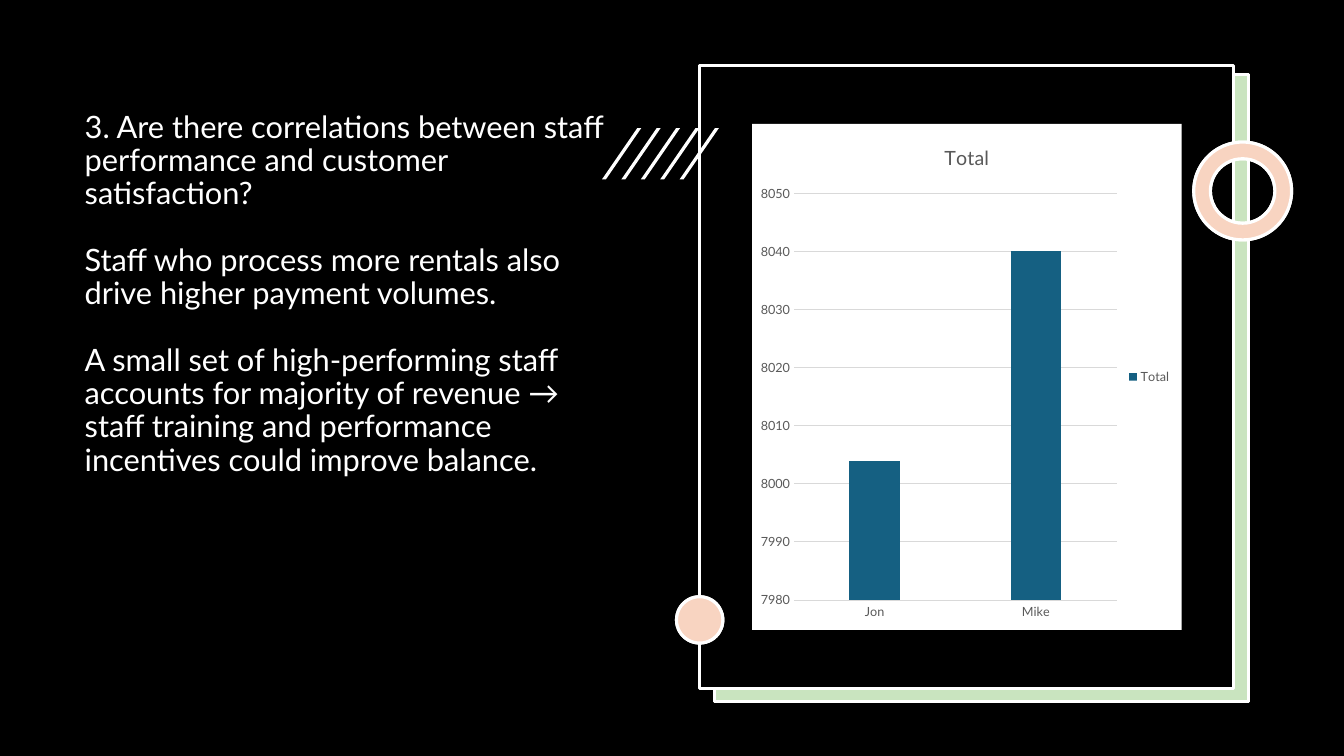
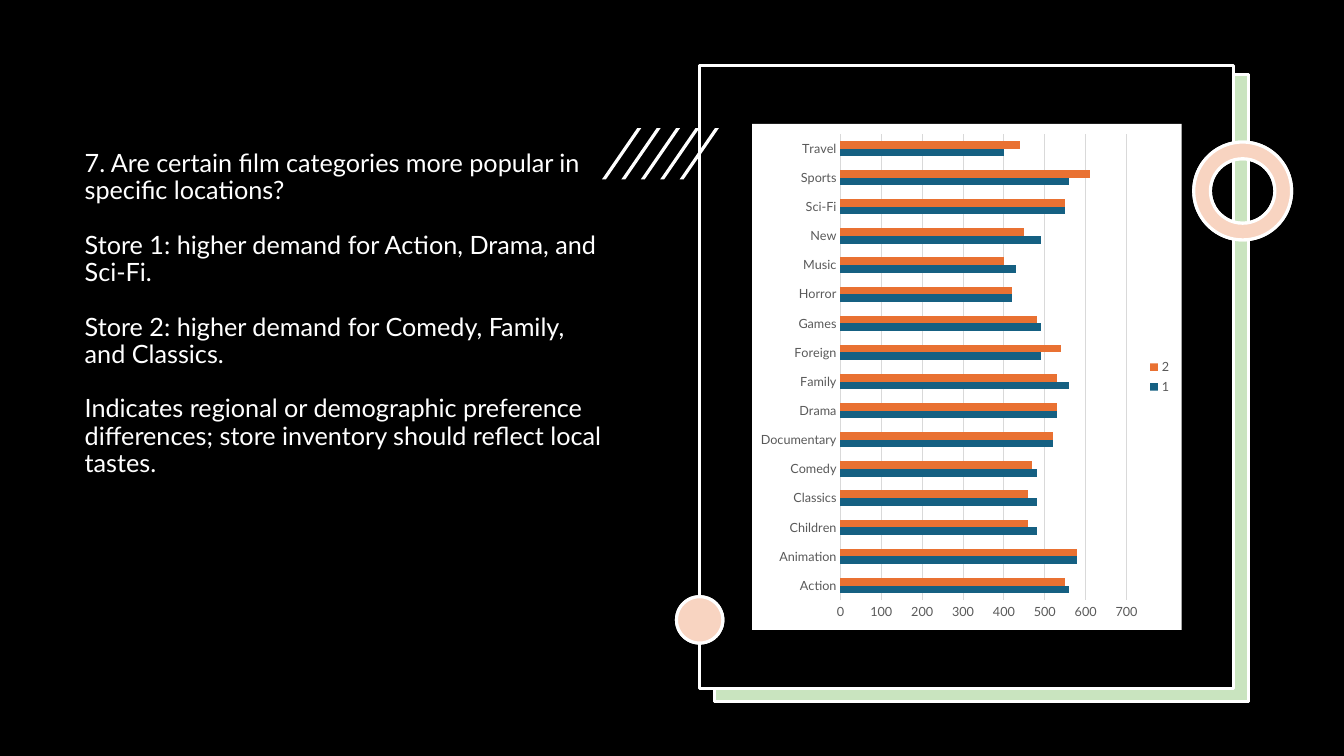
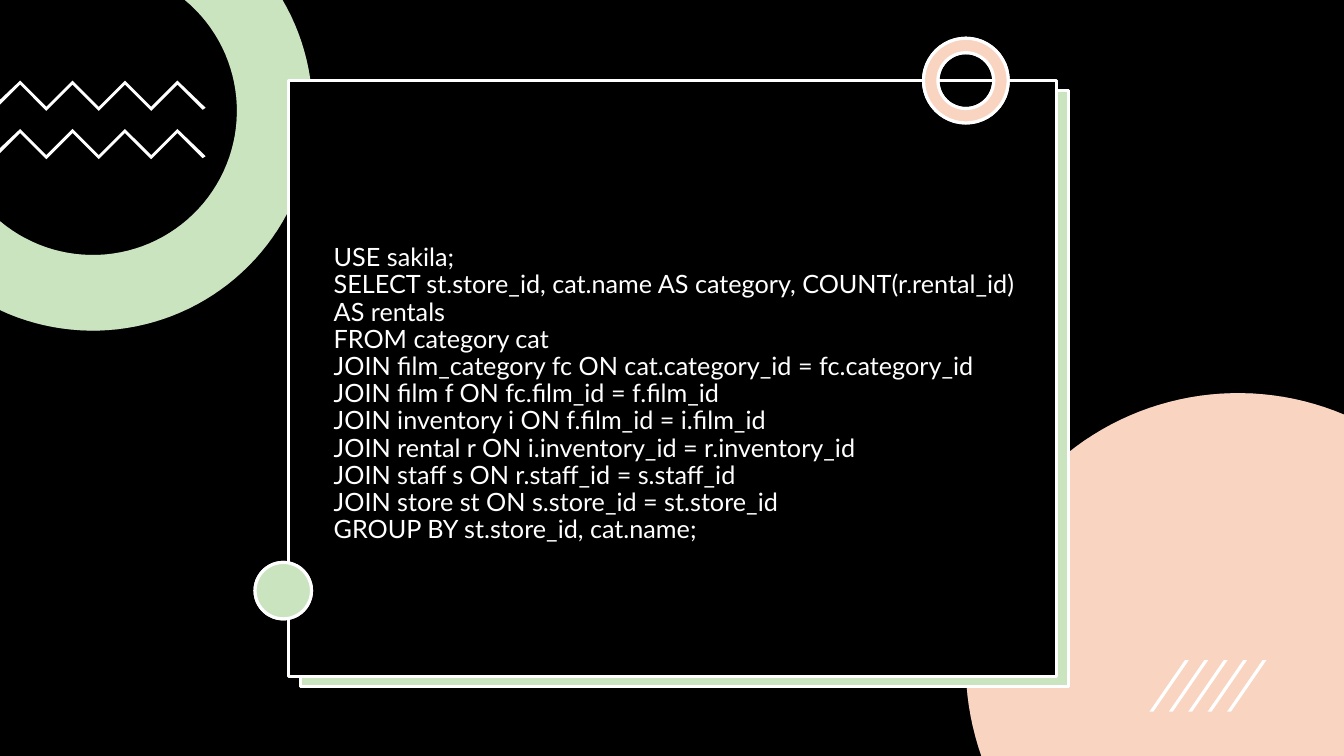
"""Build three film rental findings slides: two chart answers and one SQL query."""
import math

import lxml.etree
import pptx
import pptx.chart.data
import pptx.dml.color
import pptx.enum.chart
import pptx.enum.shapes
import pptx.enum.text
import pptx.oxml
import pptx.oxml.ns
import pptx.util

Inches, Pt = pptx.util.Inches, pptx.util.Pt
RGBColor = pptx.dml.color.RGBColor
SHAPE = pptx.enum.shapes.MSO_SHAPE
CHART = pptx.enum.chart.XL_CHART_TYPE

BLACK = RGBColor(0x00, 0x00, 0x00)
WHITE = RGBColor(0xFF, 0xFF, 0xFF)
GREEN = RGBColor(0x4E, 0xA7, 0x2E)
ORANGE = RGBColor(0xE9, 0x71, 0x32)
BLUE = RGBColor(0x15, 0x60, 0x82)
GREY = RGBColor(0x59, 0x59, 0x59)
GRID = RGBColor(0xD9, 0xD9, 0xD9)
FONT = "Lato"
TINT = 30
WIDTH, HEIGHT = 13.33, 7.5


def write_text(frame, lines, size, color, gap=0, line_spacing=None, align=None):
    """Write one paragraph per line, all in the same format."""
    for number, line in enumerate(lines):
        paragraph = frame.paragraphs[0] if number == 0 else frame.add_paragraph()
        paragraph.alignment = align
        paragraph.line_spacing = line_spacing
        paragraph.space_before = Pt(gap if number else 0)
        run = paragraph.add_run()
        run.text = line
        run.font.name = FONT
        run.font.size = Pt(size)
        run.font.bold = False
        run.font.color.rgb = color


def paint(shape, color, opacity=100, outlined=False):
    """Fill a shape, with an optional white outline."""
    shape.shadow.inherit = False
    shape.fill.solid()
    shape.fill.fore_color.rgb = color
    if opacity < 100:
        tone = shape.fill._xPr.find(".//" + pptx.oxml.ns.qn("a:srgbClr"))
        alpha = lxml.etree.SubElement(tone, pptx.oxml.ns.qn("a:alpha"))
        alpha.set("val", str(opacity * 1000))
    if outlined:
        shape.line.color.rgb = WHITE
        shape.line.width = Pt(2.25)
    else:
        shape.line.fill.background()


arcs = {}
for arc, (x, y, radius, first, last) in {
    "ring outside": (0.92, 1.1, 2.18, -30.3, 115),
    "ring inside": (0.92, 1.1, 1.43, 130, -50.3),
    "disc": (12.28, 6.6, 2.7, 160.5, 292.9),
}.items():
    angles = [math.radians(first + (last - first) * step / 60) for step in range(61)]
    arcs[arc] = [(max(0, x + radius * math.cos(angle)), max(0, y + radius * math.sin(angle)))
                 for angle in angles]

zigzag_top = [(0.2 + 0.26 * turn, 0.26 * (turn % 2)) for turn in range(7)]
zigzag_bottom = [(x, y + 0.04) for x, y in reversed(zigzag_top)]
zigzag = zigzag_top + [(2.04, 0.27), (2.01, 0.29)] + zigzag_bottom + [(0, 0.24), (0, 0.19)]

big_ring = arcs["ring outside"] + arcs["ring inside"]
big_disc = arcs["disc"] + [(WIDTH, HEIGHT)]

chart_look = {
    "title_box": (0.74, 0.89, 5.35, 3.9),
    "shadow": (7.09, 0.74, 5.29, 6.22),
    "panel": (6.94, 0.65, 5.29, 6.18),
    "ring": (11.84, 1.41, 0.97, 0.97),
    "dot": (6.71, 5.92, 0.46, 0.46),
    "dot_tint": ORANGE,
    "slashes": (5.97, 1.27),
    "outlines": [],
}
query_look = {
    "title_box": (3.21, 1.36, 7.02, 4.09),
    "shadow": (2.98, 0.9, 7.62, 5.91),
    "panel": (2.86, 0.8, 7.62, 5.91),
    "ring": (9.16, 0.38, 0.84, 0.84),
    "dot": (2.53, 5.58, 0.56, 0.56),
    "dot_tint": GREEN,
    "slashes": (11.4, 6.55),
    "outlines": [(big_ring, WHITE, 100), (big_ring, GREEN, TINT),
                 (big_disc, WHITE, 100), (big_disc, ORANGE, TINT)]
    + [([(x, y + top) for x, y in zigzag], WHITE, 100) for top in (0.8, 1.28)],
}

staff_chart = {
    "type": CHART.COLUMN_CLUSTERED,
    "title": "Total",
    "categories": ["Jon", "Mike"],
    "series": [("Total", (8004, 8040), BLUE)],
    "scale": (7980, 8050, 10),
    "gap": 219,
    "overlap": -27,
}
category_chart = {
    "type": CHART.BAR_CLUSTERED,
    "title": None,
    "categories": ["Action", "Animation", "Children", "Classics", "Comedy", "Documentary",
                   "Drama", "Family", "Foreign", "Games", "Horror", "Music", "New",
                   "Sci-Fi", "Sports", "Travel"],
    "series": [
        ("1", (560, 580, 480, 480, 480, 520, 530, 560,
               490, 490, 420, 430, 490, 550, 560, 400), BLUE),
        ("2", (550, 580, 460, 460, 470, 520, 530, 530,
               540, 480, 420, 400, 450, 550, 610, 440), ORANGE),
    ],
    "scale": (0, 700, 100),
    "gap": 182,
    "overlap": 0,
}

pages = [
    (chart_look, staff_chart, 22, 23.8, [
        "3. Are there correlations between staff performance and customer satisfaction?",
        "Staff who process more rentals also drive higher payment volumes.",
        "A small set of high-performing staff accounts for majority of revenue → "
        "staff training and performance incentives could improve balance.",
    ]),
    (chart_look, category_chart, 18, 19.5, [
        "7. Are certain film categories more popular in specific locations?",
        "Store 1: higher demand for Action, Drama, and Sci-Fi.",
        "Store 2: higher demand for Comedy, Family, and Classics.",
        "Indicates regional or demographic preference differences; "
        "store inventory should reflect local tastes.",
    ]),
    (query_look, None, 18, 0, [
        "USE sakila;",
        "SELECT st.store_id, cat.name AS category, COUNT(r.rental_id) AS rentals",
        "FROM category cat",
        "JOIN film_category fc ON cat.category_id = fc.category_id",
        "JOIN film f ON fc.film_id = f.film_id",
        "JOIN inventory i ON f.film_id = i.film_id",
        "JOIN rental r ON i.inventory_id = r.inventory_id",
        "JOIN staff s ON r.staff_id = s.staff_id",
        "JOIN store st ON s.store_id = st.store_id",
        "GROUP BY st.store_id, cat.name;",
    ]),
]

deck = pptx.Presentation()
deck.slide_width, deck.slide_height = Inches(WIDTH), Inches(HEIGHT)
deck.slide_master.background.fill.solid()
deck.slide_master.background.fill.fore_color.rgb = BLACK

for look, figures, size, gap, lines in pages:
    slide = deck.slides.add_slide(deck.slide_layouts[5])

    for points, color, opacity in look["outlines"]:
        corners = [(Inches(x), Inches(y)) for x, y in points]
        builder = slide.shapes.build_freeform(*corners[0])
        builder.add_line_segments(corners[1:], close=True)
        paint(builder.convert_to_shape(), color, opacity)

    for part, preset, tint in (
        ("shadow", SHAPE.RECTANGLE, GREEN),
        ("panel", SHAPE.RECTANGLE, None),
        ("ring", SHAPE.DONUT, ORANGE),
        ("dot", SHAPE.OVAL, look["dot_tint"]),
    ):
        layers = [(WHITE, 100), (tint, TINT)] if tint else [(BLACK, 100)]
        for color, opacity in layers:
            ornament = slide.shapes.add_shape(preset, *map(Inches, look[part]))
            if preset == SHAPE.DONUT:
                ornament.adjustments[0] = 0.17
            paint(ornament, color, opacity, outlined=True)
        if part == "panel":
            ornament.element.addnext(slide.shapes.title.element)

    left, top = look["slashes"]
    slashes = slide.shapes.add_group_shape()
    for number in range(5):
        slash = slashes.shapes.add_shape(
            SHAPE.PARALLELOGRAM, Inches(left + 0.1925 * number), Inches(top),
            Inches(0.39), Inches(0.51))
        slash.adjustments[0] = 0.9
        paint(slash, WHITE)

    title = slide.shapes.title
    title.left, title.top, title.width, title.height = map(Inches, look["title_box"])
    title.text_frame.word_wrap = True
    title.text_frame.auto_size = pptx.enum.text.MSO_AUTO_SIZE.NONE
    title.text_frame.vertical_anchor = pptx.enum.text.MSO_ANCHOR.BOTTOM
    write_text(title.text_frame, lines, size, WHITE, gap=gap, line_spacing=0.9,
               align=pptx.enum.text.PP_ALIGN.LEFT)

    if figures is None:
        continue
    data = pptx.chart.data.CategoryChartData()
    data.categories = figures["categories"]
    for name, values, color in figures["series"]:
        data.add_series(name, values)
    chart = slide.shapes.add_chart(
        figures["type"], Inches(7.46), Inches(1.23), Inches(4.26), Inches(5.02), data).chart
    chart.font.name = FONT
    chart.font.size = Pt(10)
    chart_area = pptx.oxml.parse_xml(
        f'<c:spPr {pptx.oxml.ns.nsdecls("c", "a")}><a:solidFill><a:srgbClr val="{WHITE}"/>'
        '</a:solidFill><a:ln><a:noFill/></a:ln></c:spPr>')
    chart.element.find(pptx.oxml.ns.qn("c:chart")).addnext(chart_area)

    chart.has_title = figures["title"] is not None
    if chart.has_title:
        write_text(chart.chart_title.text_frame, [figures["title"]], 14, GREY)
        chart.chart_title.include_in_layout = False
    chart.has_legend = True
    chart.legend.position = pptx.enum.chart.XL_LEGEND_POSITION.RIGHT
    chart.legend.include_in_layout = False

    plot = chart.plots[0]
    plot.vary_by_categories = False
    plot.gap_width, plot.overlap = figures["gap"], figures["overlap"]
    for series, (name, values, color) in zip(plot.series, figures["series"]):
        series.format.fill.solid()
        series.format.fill.fore_color.rgb = color

    names, amounts = chart.category_axis, chart.value_axis
    amounts.minimum_scale, amounts.maximum_scale, amounts.major_unit = figures["scale"]
    for axis in (names, amounts):
        axis.major_tick_mark = axis.minor_tick_mark = pptx.enum.chart.XL_TICK_MARK.NONE
    for font in (names.tick_labels.font, amounts.tick_labels.font, chart.legend.font):
        font.name = FONT
        font.size = Pt(9)
        font.color.rgb = GREY
    amounts.has_major_gridlines = True
    for line in (names.format.line, amounts.major_gridlines.format.line):
        line.color.rgb = GRID
        line.width = Pt(0.75)
    amounts.format.line.fill.background()

deck.save("out.pptx")
